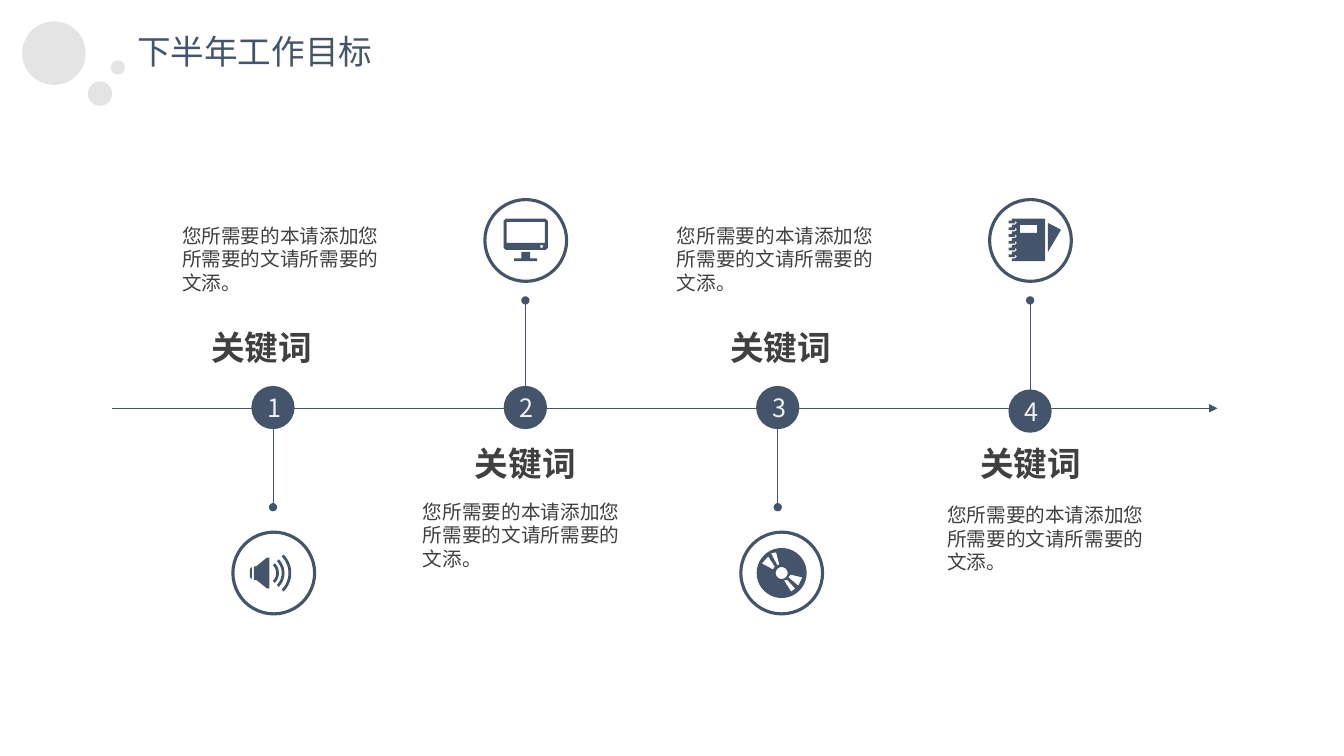
from dataclasses import dataclass
from math import cos, pi, sin

from lxml.etree import SubElement
from pptx import Presentation
from pptx.dml.color import RGBColor
from pptx.enum.shapes import MSO_CONNECTOR, MSO_SHAPE
from pptx.enum.text import MSO_ANCHOR, PP_ALIGN
from pptx.oxml.ns import qn
from pptx.util import Cm, Pt

NAVY = RGBColor(0x44, 0x54, 0x6A)
CHARCOAL = RGBColor(0x40, 0x40, 0x40)
OFF_WHITE = RGBColor(0xF2, 0xF2, 0xF2)
LIGHT_GRAY = RGBColor(0xD9, 0xD9, 0xD9)

DESCRIPTION = "您所需要的本请添加您所需要的文请所需要的文添。"
KEYWORD = "关键词"


def arc(x, y, radius, start=0, end=2 * pi, steps=40):
    angles = [start + (end - start) * step / steps for step in range(steps + 1)]
    return [(x + radius * cos(angle), y + radius * sin(angle)) for angle in angles]


def box(left, top, right, bottom, cut=0):
    return [
        (left + cut, top), (right - cut, top), (right, top + cut), (right, bottom - cut),
        (right - cut, bottom), (left + cut, bottom), (left, bottom - cut), (left, top + cut),
    ]


def sound_wave(radius):
    outer = arc(-0.22, 0, radius, -pi / 4, pi / 4)
    inner = arc(-0.22, 0, radius - 0.07, pi / 4, -pi / 4)
    return outer + inner


def binding_ring(top):
    return [
        (-0.47, top), (-0.55, top), (-0.55, top + 0.07), (-0.39, top + 0.07),
        (-0.39, top), (-0.34, top + 0.05), (-0.39, top + 0.1), (-0.47, top + 0.1),
    ]


def speaker():
    cone = [(-0.5, -0.17), (-0.44, -0.17), (-0.17, -0.39), (-0.11, -0.39),
            (-0.11, 0.39), (-0.17, 0.39), (-0.44, 0.17), (-0.5, 0.17)]
    magnet = [(-0.6, -0.1), (-0.55, -0.15), (-0.55, 0.15), (-0.6, 0.1)]
    return [[cone], [magnet]] + [[sound_wave(radius)] for radius in (0.35, 0.49, 0.66)]


def monitor():
    stand = [(-0.11, 0.29), (0.11, 0.29), (0.11, 0.45), (0.29, 0.45),
             (0.29, 0.52), (-0.29, 0.52), (-0.29, 0.45), (-0.11, 0.45)]
    power_light = arc(0.4, 0.15, 0.04)
    return [[box(-0.56, -0.55, 0.56, 0.24, 0.06), box(-0.48, -0.47, 0.48, 0.06),
             power_light, stand]]


def disc():
    reflections = [
        [(-0.11, -0.19), (-0.06, -0.22), (-0.14, -0.52), (-0.27, -0.5)],
        [(0.14, 0.17), (0.06, 0.19), (0.24, 0.47), (0.34, 0.39)],
        [(0.52, 0.11), (0.22, 0.04), (0.17, 0.11), (0.42, 0.32)],
        [(-0.5, -0.24), (-0.22, -0.09), (-0.17, -0.16), (-0.34, -0.42)],
    ]
    return [[arc(0, 0, 0.63), arc(0, 0, 0.15)] + reflections]


def notebook():
    cover = [(-0.47, -0.55)]
    for ring in range(6):
        cover += binding_ring(-0.5 + 0.17 * ring)
    cover += [(-0.47, 0.52), (0.37, 0.52), (0.37, -0.55)]
    label = box(-0.27, -0.39, 0.17, -0.19)
    pencil = [(0.44, -0.44), (0.44, 0.29), (0.77, -0.27)]
    return [[cover, label, pencil]]


@dataclass
class TimelineSlide:
    slide: object
    font_name: str = "Noto Sans CJK SC"

    def fill_text(self, frame, text, size, color, align=PP_ALIGN.LEFT, bold=False, spacing=None):
        frame.text = text
        paragraph = frame.paragraphs[0]
        paragraph.alignment = align
        paragraph.line_spacing = spacing
        font = paragraph.font
        font.size = Pt(size)
        font.bold = bold
        font.color.rgb = color
        font.name = self.font_name
        defaults = paragraph._p.pPr.find(qn("a:defRPr"))
        SubElement(defaults, qn("a:ea")).set("typeface", self.font_name)

    def title(self, text, left, top, width, height):
        heading = self.slide.shapes.title
        heading.left, heading.top = Cm(left), Cm(top)
        heading.width, heading.height = Cm(width), Cm(height)
        frame = heading.text_frame
        frame.word_wrap = False
        frame.vertical_anchor = MSO_ANCHOR.TOP
        self.fill_text(frame, text, 24, NAVY)

    def text(self, text, left, top, width, height, size, **style):
        frame = self.slide.shapes.add_textbox(
            Cm(left), Cm(top), Cm(width), Cm(height)).text_frame
        frame.word_wrap = True
        self.fill_text(frame, text, size, CHARCOAL, **style)

    def circle(self, x, y, diameter, fill=None, alpha=None, outline=None, number=None):
        circle = self.slide.shapes.add_shape(
            MSO_SHAPE.OVAL, Cm(x - diameter / 2), Cm(y - diameter / 2),
            Cm(diameter), Cm(diameter))
        circle.shadow.inherit = False
        if fill is None:
            circle.fill.background()
        else:
            circle.fill.solid()
            circle.fill.fore_color.rgb = fill
        if alpha:
            color = circle._element.spPr.find(qn("a:solidFill"))[0]
            SubElement(color, qn("a:alpha")).set("val", str(alpha * 1000))
        if outline is None:
            circle.line.fill.background()
        else:
            circle.line.color.rgb = outline
            circle.line.width = Pt(2.25)
        if number:
            frame = circle.text_frame
            frame.vertical_anchor = MSO_ANCHOR.MIDDLE
            self.fill_text(frame, str(number), 18, OFF_WHITE, PP_ALIGN.CENTER)

    def line(self, x1, y1, x2, y2, **ends):
        line = self.slide.shapes.add_connector(
            MSO_CONNECTOR.STRAIGHT, Cm(x1), Cm(y1), Cm(x2), Cm(y2))
        line.line.color.rgb = NAVY
        line.line.width = Pt(0.5)
        for end, style in ends.items():
            outline = line._element.spPr.find(qn("a:ln"))
            SubElement(outline, qn(f"a:{end}")).set("type", style)
        SubElement(line._element.spPr, qn("a:effectLst"))

    def icon(self, x, y, parts):
        for outlines in parts:
            contours = [[(Cm(x + dx), Cm(y + dy)) for dx, dy in outline]
                        for outline in outlines]
            builder = self.slide.shapes.build_freeform(*contours[0][0])
            builder.add_line_segments(contours[0][1:])
            for contour in contours[1:]:
                builder.move_to(*contour[0])
                builder.add_line_segments(contour[1:])
            part = builder.convert_to_shape()
            part.shadow.inherit = False
            part.fill.solid()
            part.fill.fore_color.rgb = NAVY
            part.line.fill.background()


def main():
    presentation = Presentation()
    presentation.slide_width, presentation.slide_height = Cm(33.87), Cm(19.05)
    timeline = TimelineSlide(presentation.slides.add_slide(presentation.slide_layouts[5]))

    for x, y, diameter in [(1.36, 1.34, 1.6), (2.52, 2.36, 0.61), (2.97, 1.7, 0.36)]:
        timeline.circle(x, y, diameter, fill=LIGHT_GRAY, alpha=70)
    timeline.title("下半年工作目标", 3.2, 0.66, 6.5, 1.27)

    timeline.line(2.82, 10.29, 30.68, 10.29, tailEnd="triangle")
    milestones = [
        (speaker(), 6.9, 10.27, 4.34, 5.51, 4.75),
        (monitor(), 13.25, 10.27, 10.41, 12.47, 11.4),
        (disc(), 19.7, 10.27, 16.81, 5.51, 17.83),
        (notebook(), 25.97, 10.36, 23.62, 12.55, 24.13),
    ]
    for index, milestone in enumerate(milestones):
        symbol, icon_x, number_y, text_left, text_top, keyword_left = milestone
        x = 6.88 + 6.36 * index
        icon_below = index % 2 == 0
        stem_top, stem_bottom = (10.26, 12.78) if icon_below else (7.57, 10.06)
        icon_y = 14.44 if icon_below else 6.06
        timeline.line(x, stem_top, x, stem_bottom, headEnd="oval", tailEnd="oval")
        timeline.circle(x, number_y, 1.09, fill=NAVY, number=index + 1)
        timeline.circle(icon_x, icon_y, 2.06, outline=NAVY)
        timeline.icon(icon_x, icon_y, symbol)
        timeline.text(DESCRIPTION, text_left, text_top, 5.72, 2.06, 14)
        timeline.text(KEYWORD, keyword_left, 8.2 if icon_below else 11.13, 3.68, 1.22, 24,
                      align=PP_ALIGN.CENTER, bold=True, spacing=0.94)

    presentation.save("out.pptx")


if __name__ == "__main__":
    main()
